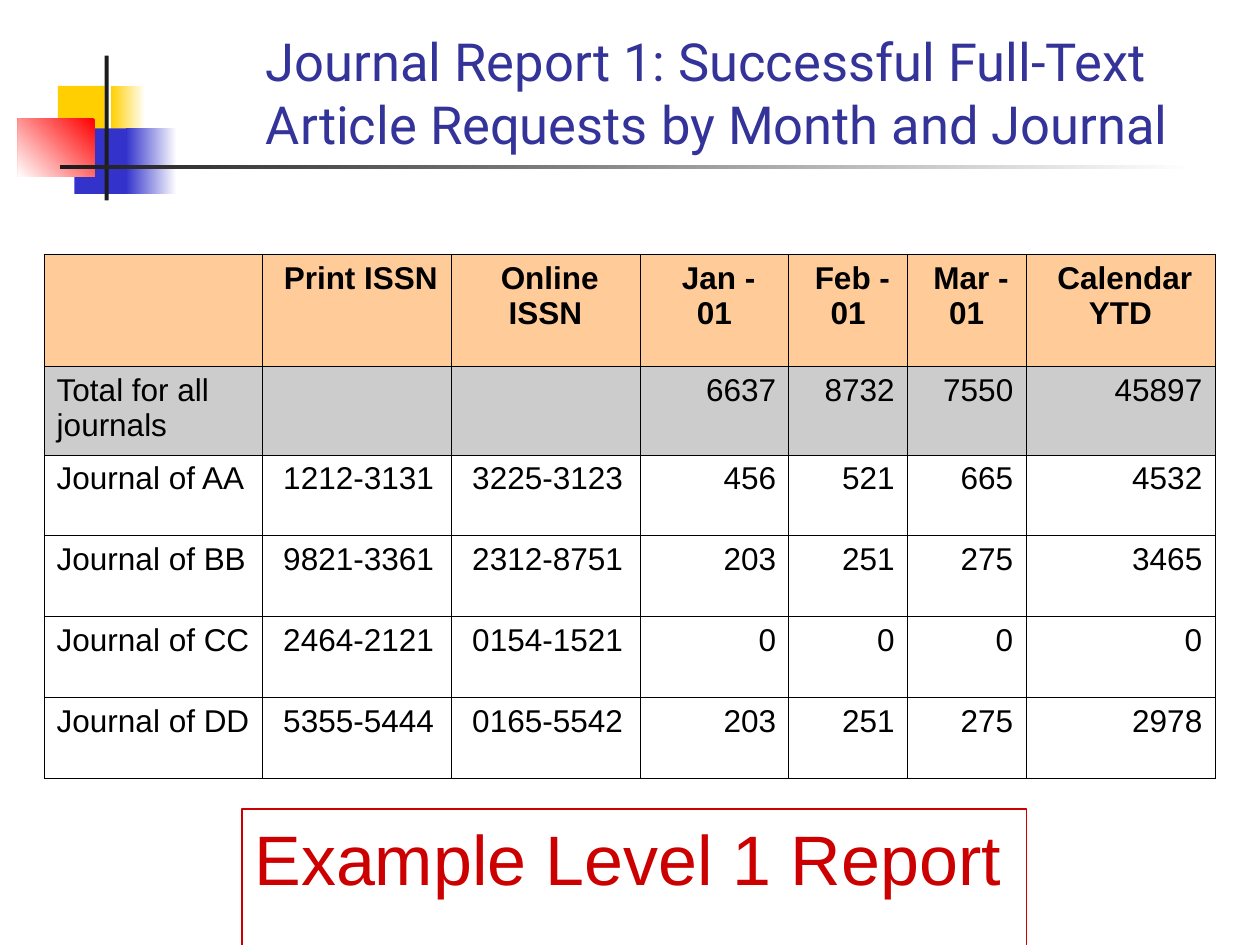
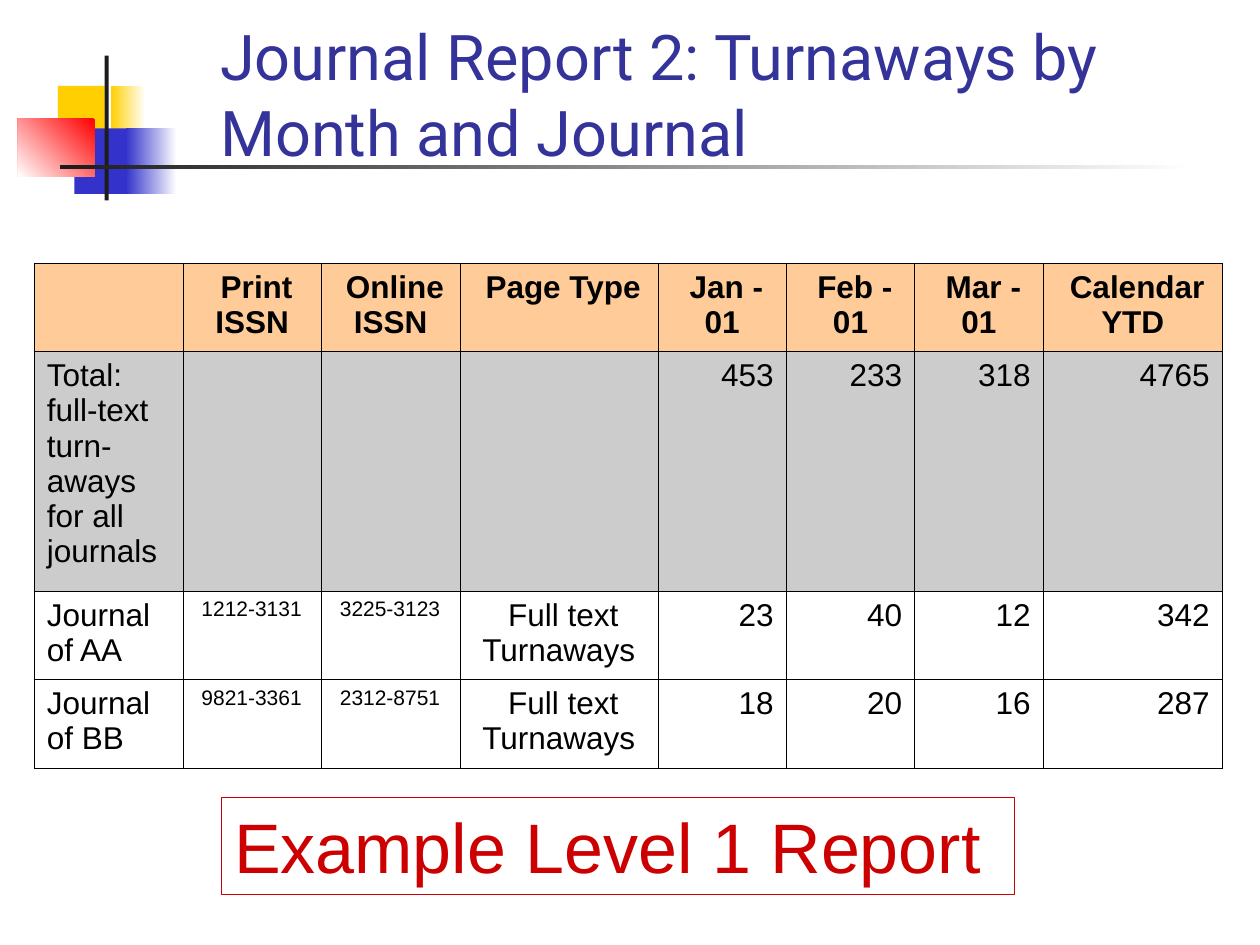
"""Build two journal usage report slides, each with a title, a table and a caption."""
from lxml import etree
from pptx import Presentation
from pptx.dml.color import RGBColor
from pptx.enum.shapes import MSO_SHAPE
from pptx.enum.text import MSO_ANCHOR, PP_ALIGN
from pptx.oxml.ns import qn
from pptx.util import Cm, Pt

YELLOW, BLUE, RED, DARK, WHITE = "FFCF01", "3333CC", "FF0000", "1C1C1C", "FFFFFF"
TITLE, CAPTION, BLACK = "333399", "CC0000", "000000"
HEADER_FILL, TOTAL_FILL = "FFCC99", "CCCCCC"
HARD_SPACE = " "

EMBLEM = [
    (1.17, 1.73, 0.94, 1.02, [YELLOW], 0),
    (2.24, 1.73, 0.69, 1.02, [WHITE, YELLOW], 180),
    (1.5, 2.59, 1.17, 1.32, [BLUE], 0),
    (2.54, 2.59, 1.02, 1.32, [WHITE, BLUE], 180),
    (0.36, 2.39, 1.55, 1.17, [RED, WHITE], 225),
    (2.11, 1.12, 0.08, 2.92, [DARK], 0),
    (1.22, 3.33, 22.86, 0.08, [WHITE, DARK], 180),
]

REPORTS = [
    {
        "title": "Journal Report 1: Successful Full-Text Article Requests by Month and Journal",
        "title_box": (5.11, 1.12, 19.74, 2.13),
        "title_size": 30,
        "issn_size": 18,
        "table_at": (0.89, 5.13),
        "widths": [4.39, 3.81, 3.81, 3, 2.39, 2.39, 3.81],
        "heights": [2.26, 1.78] + [1.63] * 4,
        "caption_box": (4.88, 16.31, 15.82, 3.66),
        "rows": [
            ["", "Print ISSN", "Online ISSN", "Jan - 01", "Feb - 01", "Mar - 01", "Calendar YTD"],
            ["Total for all journals", "", "", "6637", "8732", "7550", "45897"],
            ["Journal of AA", "1212-3131", "3225-3123", "456", "521", "665", "4532"],
            ["Journal of BB", "9821-3361", "2312-8751", "203", "251", "275", "3465"],
            ["Journal of CC", "2464-2121", "0154-1521", "0", "0", "0", "0"],
            ["Journal of DD", "5355-5444", "0165-5542", "203", "251", "275", "2978"],
        ],
    },
    {
        "title": "Journal Report 2: Turnaways by Month and Journal",
        "title_box": (4.19, 1.4, 18.9, 2.13),
        "title_size": 36,
        "issn_size": 12,
        "table_at": (0.69, 5.31),
        "widths": [3, 2.79, 2.79, 3.99, 2.59, 2.59, 2.59, 3.61],
        "heights": [1.78, 4.83, 1.78, 1.78],
        "caption_box": (4.47, 16.08, 15.98, 1.96),
        "rows": [
            ["", "Print ISSN", "Online ISSN", "Page Type", "Jan - 01", "Feb - 01", "Mar - 01",
             "Calendar YTD"],
            ["Total: full-text turn-aways for all journals", "", "", "", "453", "233", "318", "4765"],
            ["Journal of AA", "1212-3131", "3225-3123", "Full text Turnaways", "23", "40", "12", "342"],
            ["Journal of BB", "9821-3361", "2312-8751", "Full text Turnaways", "18", "20", "16", "287"],
        ],
    },
]


def color(hex_string):
    return RGBColor.from_string(hex_string)


def write(frame, text, size, font_name, font_color):
    frame.word_wrap = True
    paragraph = frame.paragraphs[0]
    paragraph.text = text
    paragraph.font.size = Pt(size)
    paragraph.font.name = font_name
    paragraph.font.color.rgb = color(font_color)
    return paragraph


deck = Presentation()
deck.slide_width, deck.slide_height = Cm(25.4), Cm(19.05)

for report in REPORTS:
    page = deck.slides.add_slide(deck.slide_layouts[6])

    for left, top, width, height, colors, angle in EMBLEM:
        block = page.shapes.add_shape(MSO_SHAPE.RECTANGLE, Cm(left), Cm(top), Cm(width), Cm(height))
        block.shadow.inherit = False
        block.line.fill.background()
        if len(colors) == 1:
            block.fill.solid()
            block.fill.fore_color.rgb = color(colors[0])
        else:
            block.fill.gradient()
            block.fill.gradient_angle = angle
            for stop, stop_color in zip(block.fill.gradient_stops, colors):
                stop.color.rgb = color(stop_color)

    title = page.shapes.add_textbox(*map(Cm, report["title_box"]))
    title.text_frame.vertical_anchor = MSO_ANCHOR.BOTTOM
    write(title.text_frame, report["title"], report["title_size"], "Roboto", TITLE)

    rows, widths, heights = report["rows"], report["widths"], report["heights"]
    left, top = report["table_at"]
    table = page.shapes.add_table(len(rows), len(widths), Cm(left), Cm(top),
                                  Cm(sum(widths)), Cm(sum(heights))).table
    table.first_row = table.horz_banding = False
    for column, width in zip(table.columns, widths):
        column.width = Cm(width)
    for row, height in zip(table.rows, heights):
        row.height = Cm(height)

    for row_index, values in enumerate(rows):
        for column_index, value in enumerate(values):
            cell = table.cell(row_index, column_index)
            heading = rows[0][column_index]
            is_issn = row_index > 1 and heading.endswith("ISSN")

            if value:
                text = HARD_SPACE + value if column_index else value
                size = report["issn_size"] if is_issn else 18
                paragraph = write(cell.text_frame, text, size, "Arial", BLACK)
                paragraph.font.bold = row_index == 0
                if row_index == 0 or heading == "Page Type":
                    paragraph.alignment = PP_ALIGN.CENTER
                elif column_index and not is_issn:
                    paragraph.alignment = PP_ALIGN.RIGHT

            properties = cell._tc.get_or_add_tcPr()
            for side in ("a:lnL", "a:lnR", "a:lnT", "a:lnB"):
                border = etree.SubElement(properties, qn(side), w=str(Pt(0.34)))
                border_fill = etree.SubElement(border, qn("a:solidFill"))
                etree.SubElement(border_fill, qn("a:srgbClr"), val=BLACK)
            if row_index < 2:
                cell.fill.solid()
                cell.fill.fore_color.rgb = color(HEADER_FILL if row_index == 0 else TOTAL_FILL)
            else:
                cell.fill.background()

    caption = page.shapes.add_textbox(*map(Cm, report["caption_box"]))
    caption.line.color.rgb = color(CAPTION)
    caption.line.width = Pt(0.75)
    write(caption.text_frame, "Example Level 1 Report", 40, "Arial", CAPTION)

deck.save("out.pptx")
